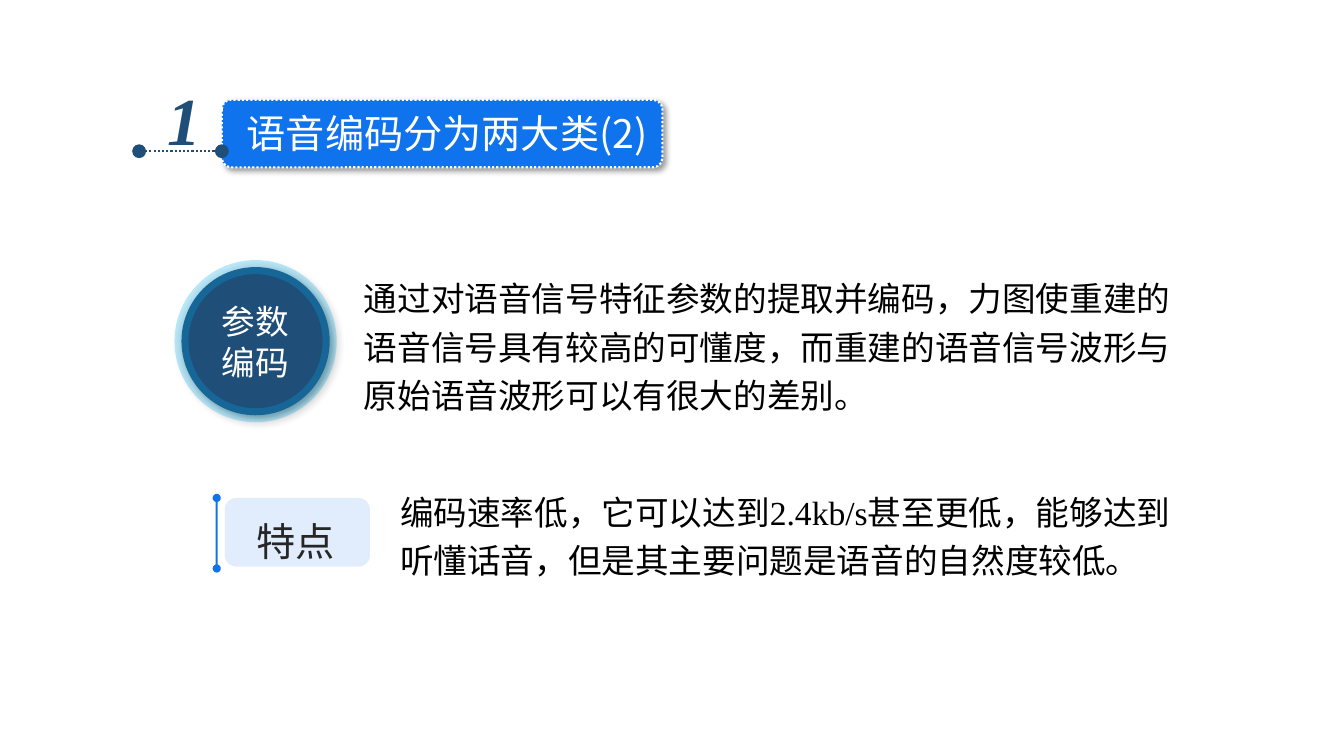
from dataclasses import dataclass
from math import cos, pi, sin
from typing import Optional

from pptx import Presentation
from pptx.dml.color import RGBColor
from pptx.enum.dml import MSO_LINE as Dash
from pptx.enum.shapes import MSO_CONNECTOR as Connector, MSO_SHAPE as Preset
from pptx.enum.text import MSO_ANCHOR as Anchor, MSO_AUTO_SIZE as AutoSize, PP_ALIGN as Align
from pptx.oxml.ns import qn
from pptx.oxml.xmlchemy import OxmlElement
from pptx.util import Inches, Pt

COLORS = {
    "white": "FFFFFF", "black": "000000", "charcoal": "262626",
    "navy": "1F4E79", "blue": "0F73EE", "cyan": "00B0F0",
}
SANS = "Noto Sans CJK SC"
SERIF = "Times New Roman"


@dataclass(frozen=True)
class Outline:
    color: str
    width: float
    dash: Optional[Dash] = None
    opacity: int = 100


@dataclass(frozen=True)
class Panel:
    box: tuple[float, float, float, float]
    fill: str
    preset: Preset = Preset.ROUNDED_RECTANGLE
    opacity: int = 100
    corner: Optional[float] = None
    outline: Optional[Outline] = None
    shadow: bool = False


@dataclass(frozen=True)
class Label:
    box: tuple[float, float, float, float]
    lines: tuple[str, ...]
    size: int
    color: str
    font: str = SANS
    spacing: float = 1.0
    align: Align = Align.LEFT
    anchor: Anchor = Anchor.TOP
    indent: float = 0
    wrap: bool = True
    emphasis: bool = False


CONTENT = (
    Panel((2.52, 2.6, 9.44, 1.57), "white", opacity=50, corner=0.148),
    Label((3.51, 2.63, 8.25, 1.52),
          ("通过对语音信号特征参数的提取并编码，力图使重建的语音信号具有较高的可懂度，"
           "而重建的语音信号波形与原始语音波形可以有很大的差别。",),
          24, "black", spacing=1.2),
    Panel((1.8, 2.65, 1.47, 1.47), "navy", Preset.OVAL,
          outline=Outline("cyan", 10, opacity=25), shadow=True),
    Label((2.1, 2.94, 0.88, 0.91), ("参数", "编码"), 24, "white", wrap=False),
    Panel((2.23, 4.94, 1.44, 0.68), "blue", opacity=12),
    Label((2.32, 4.85, 1.22, 0.73), ("特点",), 28, "charcoal",
          spacing=1.5, align=Align.CENTER),
    Label((3.37, 4.76, 8.43, 1.04),
          ("编码速率低，它可以达到2.4kb/s甚至更低，能够达到听懂话音，"
           "但是其主要问题是语音的自然度较低。",),
          24, "black", SERIF, spacing=1.2, anchor=Anchor.MIDDLE, indent=0.5),
    Panel((2.2, 0.99, 4.37, 0.67), "blue", corner=0.137,
          outline=Outline("white", 1.5, Dash.ROUND_DOT), shadow=True),
    Label((2.35, 1.04, 4.54, 0.57), ("语音编码分为两大类(2)",), 28, "white"),
    Label((1.56, 0.73, 0.58, 0.91), ("1",), 48, "navy", SERIF, emphasis=True),
)


def rgb(name: str) -> RGBColor:
    return RGBColor.from_string(COLORS[name])


def add_child(parent, tag: str, **attributes):
    child = OxmlElement(tag)
    for key, value in attributes.items():
        child.set(key, str(value))
    parent.append(child)
    return child


def set_opacity(fill_parent, percent: int) -> None:
    if percent < 100:
        color = fill_parent.find(qn("a:solidFill")).find(qn("a:srgbClr"))
        add_child(color, "a:alpha", val=percent * 1000)


def draw_outline(line, outline: Outline) -> None:
    line.color.rgb = rgb(outline.color)
    line.width = Pt(outline.width)
    if outline.dash is not None:
        line.dash_style = outline.dash


def draw_panel(shapes, panel: Panel) -> None:
    shape = shapes.add_shape(panel.preset, *map(Inches, panel.box))
    properties = shape._element.spPr
    if panel.corner is not None:
        shape.adjustments[0] = panel.corner
    shape.fill.solid()
    shape.fill.fore_color.rgb = rgb(panel.fill)
    set_opacity(properties, panel.opacity)
    if panel.outline:
        draw_outline(shape.line, panel.outline)
        set_opacity(properties.find(qn("a:ln")), panel.outline.opacity)
    else:
        shape.line.fill.background()
    shape.shadow.inherit = False
    if panel.shadow:
        shadow = add_child(properties.find(qn("a:effectLst")), "a:outerShdw",
                           blurRad=Pt(4), dist=Pt(3), dir=45 * 60000,
                           algn="tl", rotWithShape=0)
        tint = add_child(shadow, "a:srgbClr", val=COLORS["black"])
        add_child(tint, "a:alpha", val=40000)


def draw_label(shapes, label: Label) -> None:
    frame = shapes.add_textbox(*map(Inches, label.box)).text_frame
    frame.word_wrap = label.wrap
    frame.auto_size = AutoSize.SHAPE_TO_FIT_TEXT
    frame.vertical_anchor = label.anchor
    for index, line in enumerate(label.lines):
        paragraph = frame.add_paragraph() if index else frame.paragraphs[0]
        paragraph.alignment = label.align
        paragraph.line_spacing = label.spacing
        if label.indent:
            paragraph._p.get_or_add_pPr().set("marL", str(Inches(label.indent)))
        run = paragraph.add_run()
        run.text = line
        run.font.size = Pt(label.size)
        run.font.color.rgb = rgb(label.color)
        run.font.bold = run.font.italic = label.emphasis
        run.font.name = label.font
        add_child(run._r.get_or_add_rPr(), "a:ea", typeface=SANS)


def draw_dumbbell(shapes, x: float, top: float, bottom: float,
                  radius: float, half_stem: float) -> None:
    steps = 24
    neck = half_stem / radius
    sweep = [-pi / 2 + neck + i * (2 * pi - 2 * neck) / steps for i in range(steps + 1)]
    lower = [(x + radius * cos(a + pi), bottom + radius * sin(a + pi)) for a in sweep]
    upper = [(x + radius * cos(a), top + radius * sin(a)) for a in sweep]
    lower = [(px, top + bottom - py) for px, py in reversed(upper)]
    upper = [(px, 2 * top - py) for px, py in upper]
    lower = [(2 * x - px, top + bottom - py) for px, py in upper]
    points = [(Inches(px), Inches(py)) for px, py in upper + lower]
    builder = shapes.build_freeform(*points[0], scale=1.0)
    builder.add_line_segments(points[1:], close=True)
    shape = builder.convert_to_shape()
    shape.fill.solid()
    shape.fill.fore_color.rgb = rgb("blue")
    shape.line.fill.background()
    shape.shadow.inherit = False


def draw_number_rule(shapes) -> None:
    rule = shapes.add_connector(Connector.STRAIGHT, Inches(1.38), Inches(1.5),
                                Inches(2.2), Inches(1.5))
    draw_outline(rule.line, Outline("navy", 1.5, Dash.ROUND_DOT))
    properties = rule._element.spPr
    for end in ("a:headEnd", "a:tailEnd"):
        add_child(properties.find(qn("a:ln")), end, type="oval", w="lg", len="lg")
    add_child(properties, "a:effectLst")


def main() -> None:
    """Build the slide on parametric speech coding."""
    deck = Presentation()
    deck.slide_width, deck.slide_height = Inches(13.33), Inches(7.5)
    shapes = deck.slides.add_slide(deck.slide_layouts[6]).shapes
    for part in CONTENT:
        if isinstance(part, Panel):
            draw_panel(shapes, part)
        else:
            draw_label(shapes, part)
    draw_dumbbell(shapes, 2.15, 4.94, 5.64, 0.04, 0.01)
    draw_number_rule(shapes)
    deck.save("out.pptx")


if __name__ == "__main__":
    main()
